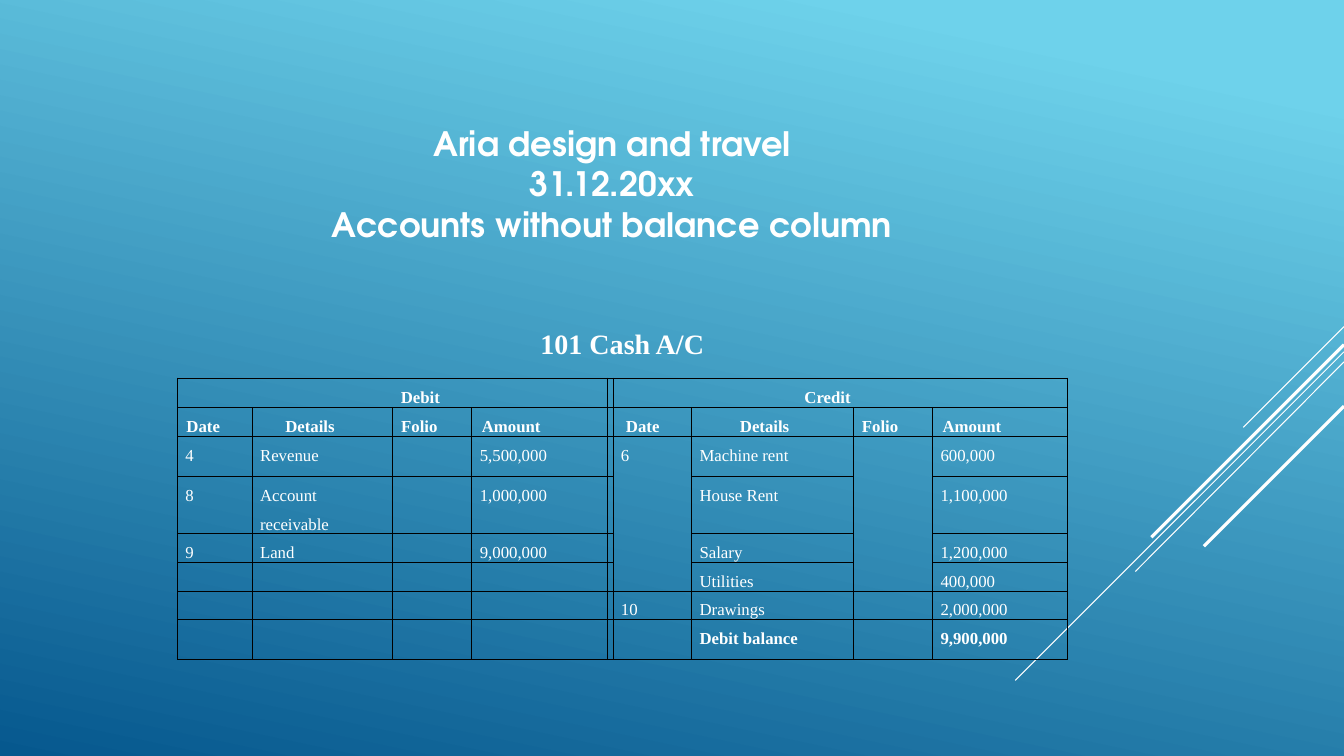
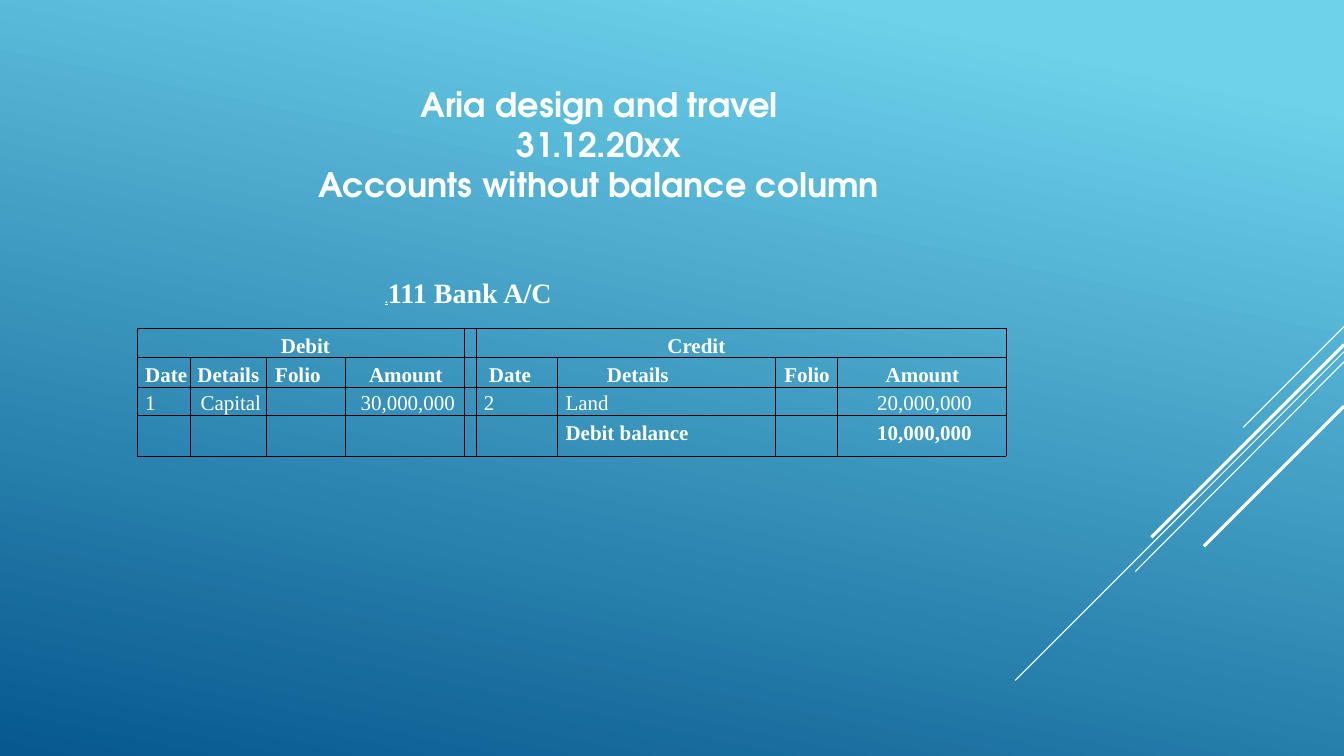
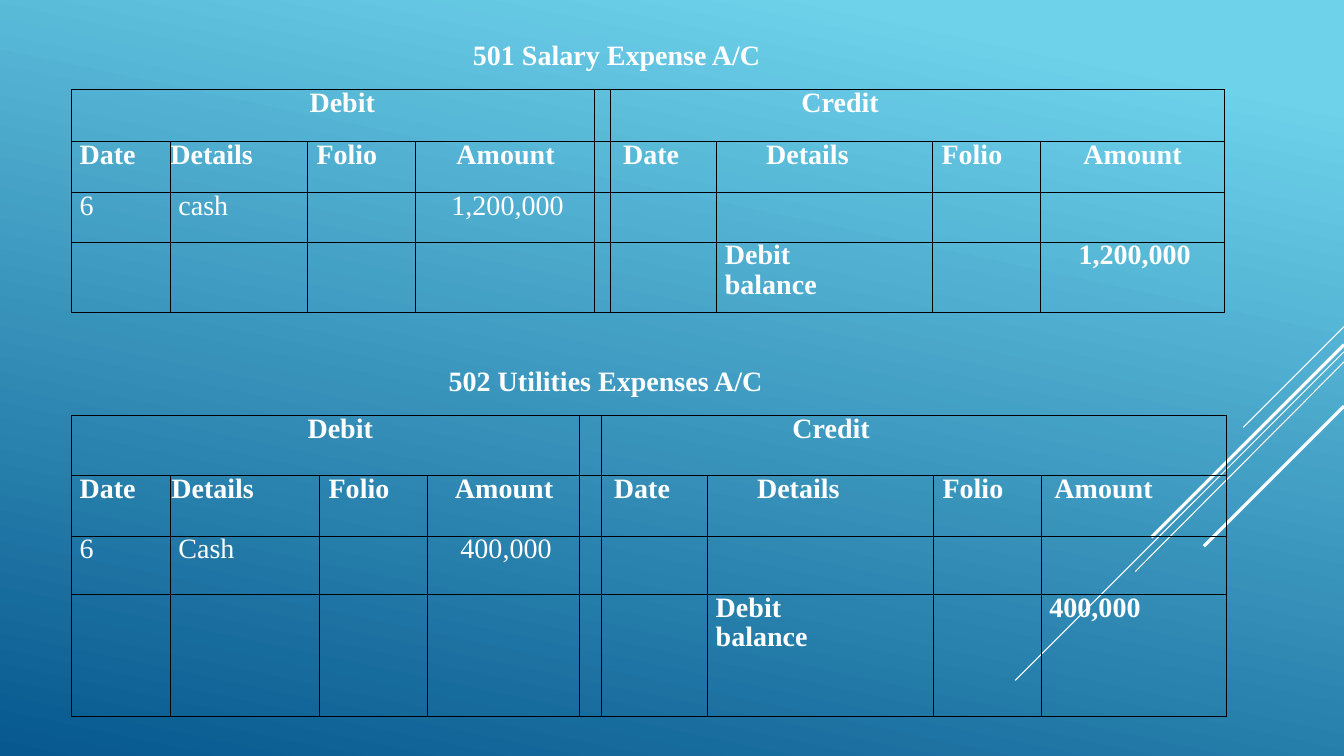
from lxml.etree import SubElement
from pptx import Presentation
from pptx.dml.color import RGBColor
from pptx.enum.shapes import MSO_CONNECTOR
from pptx.enum.text import MSO_ANCHOR, MSO_AUTO_SIZE, PP_ALIGN
from pptx.oxml.ns import qn
from pptx.util import Inches, Pt

SERIF = "Times New Roman"
SANS = "TeX Gyre Adventor"
WHITE = "FFFFFF"
BLACK = "000000"


def colour(code):
    return RGBColor.from_string(code)


def write(paragraph, text, font=SERIF, size=20, bold=True, underline=None,
          align=PP_ALIGN.LEFT, spacing=None):
    run = paragraph.add_run()
    run.text = text
    run.font.name = font
    run.font.size = Pt(size)
    run.font.bold = bold
    run.font.underline = underline
    run.font.color.rgb = colour(WHITE)
    paragraph.alignment = align
    if spacing:
        paragraph.line_spacing = Pt(spacing)


heading_lines = ["Aria design and travel", "31.12.20xx", "Accounts without balance column"]
column_names = ["Date", "Details", "Folio", "Amount", "", "Date", "Details", "Folio", "Amount"]

cash = {
    "caption": "101 Cash A/C", "caption_at": (5.35, 3.23, 2.29), "at": (1.76, 3.75), "size": 12,
    "columns": [0.74, 1.39, 0.79, 1.34, 0.06, 0.78, 1.6, 0.79, 1.34],
    "rows": [0.28, 0.28, 0.4, 0.4, 0.28, 0.28, 0.28, 0.4],
    "debit_indent": 0.56,
    "indents": [0.09, 0.33, 0.09, 0.1, 0, 0.13, 0.48, 0.09, 0.1],
    "centred": [],
    "right_margins": {(3, 1): 0.2},
    "merges": [(2, 5, 5, 5), (2, 7, 5, 7)],
    "entries": [
        {0: "4", 1: "Revenue", 3: "5,500,000", 5: "6", 6: "Machine rent", 8: "600,000"},
        {0: "8", 1: "Account receivable", 3: "1,000,000", 6: "House Rent", 8: "1,100,000"},
        {0: "9", 1: "Land", 3: "9,000,000", 6: "Salary", 8: "1,200,000"},
        {6: "Utilities", 8: "400,000"},
        {5: "10", 6: "Drawings", 8: "2,000,000"},
        {6: "Debit balance", 8: "9,900,000"},
    ],
}
bank = {
    "caption": "111 Bank A/C", "caption_at": (3.81, 2.72, 1.8), "at": (1.36, 3.26), "size": 15,
    "mark": ".",
    "columns": [0.53, 0.75, 0.79, 1.18, 0.11, 0.81, 2.16, 0.62, 1.67],
    "rows": [0.28, 0.28, 0.28, 0.4],
    "debit_indent": 0.09,
    "indents": [0.08, 0, 0.09, 0.01, 0, 0.13, 0.49, 0.09, 0.01],
    "centred": [1, 3, 8],
    "entries": [
        {0: "1", 1: "Capital", 3: "30,000,000", 5: "2", 6: "Land", 8: "20,000,000"},
        {6: "Debit balance", 8: "10,000,000"},
    ],
}
salary = {
    "caption": "501 Salary Expense A/C", "caption_at": (4.68, 0.36, 3.13), "at": (0.71, 0.89),
    "size": 20,
    "columns": [0.98, 1.36, 1.07, 1.78, 0.15, 1.06, 2.14, 1.07, 1.82],
    "rows": [0.51, 0.51, 0.49, 0.7],
    "debit_indent": 0.18,
    "indents": [0.08, 0, 0.09, 0.01, 0, 0.13, 0.49, 0.09, 0.01],
    "centred": [3, 8],
    "right_margins": {(3, 6): 0.7},
    "entries": [
        {0: "6", 1: "cash", 3: "1,200,000"},
        {6: "Debit balance", 8: "1,200,000"},
    ],
}
utilities = {
    "caption": "502 Utilities Expenses A/C", "caption_at": (4.44, 3.6, 3.98), "at": (0.71, 4.12),
    "size": 20,
    "columns": [0.98, 1.48, 1.07, 1.51, 0.21, 1.06, 2.24, 1.07, 1.83],
    "rows": [0.6, 0.6, 0.58, 1.21],
    "debit_indent": 0.29,
    "indents": [0.08, 0.01, 0.09, 0.01, 0, 0.13, 0.49, 0.09, 0.13],
    "centred": [3],
    "right_margins": {(3, 6): 0.8},
    "entries": [
        {0: "6", 1: "Cash", 3: "400,000"},
        {6: "Debit balance", 8: "400,000"},
    ],
}
pages = [((3, 1.17), [cash]), ((2.87, 0.78), [bank]), (None, [salary, utilities])]

deck = Presentation()
deck.slide_width = Inches(13.33)
deck.slide_height = Inches(7.5)
master = deck.slide_master
title_only = deck.slide_layouts[5]

backdrop = master.background.fill
backdrop.gradient()
backdrop.gradient_angle = 258
for stop, (position, code) in zip(backdrop.gradient_stops, [(0.1, "6ED2EB"), (1, "06588E")]):
    stop.position = position
    stop.color.rgb = colour(code)

slides = [deck.slides.add_slide(title_only) for page in pages]

rays = [
    (3.24, 12.33, 4.24, 0.75),
    (3.49, 10.07, 6.75, 0.75),
    (3.59, 11.26, 5.67, 0.75),
    (3.42, 11.42, 5.33, 2.25),
    (4.03, 11.94, 5.42, 2.25),
]
for number, (start_y, end_x, end_y, weight) in enumerate(rays, start=20):
    ray = slides[0].shapes.add_connector(
        MSO_CONNECTOR.STRAIGHT, Inches(13.33), Inches(start_y), Inches(end_x), Inches(end_y))
    ray.line.color.rgb = colour(WHITE)
    ray.line.width = Pt(weight)
    SubElement(ray.element.spPr, qn("a:effectLst"))
    ray.element.nvCxnSpPr.cNvPr.set("id", str(number))
    master.shapes._spTree.append(ray.element)

for slide, (heading_at, ledgers) in zip(slides, pages):
    title = slide.shapes.title
    if heading_at:
        title.left, title.top = map(Inches, heading_at)
        title.width, title.height = Inches(6.14), Inches(1.31)
        heading = title.text_frame
        heading.word_wrap = False
        heading.auto_size = MSO_AUTO_SIZE.NONE
        heading.vertical_anchor = MSO_ANCHOR.TOP
        for number, line in enumerate(heading_lines):
            paragraph = heading.add_paragraph() if number else heading.paragraphs[0]
            write(paragraph, line, font=SANS, size=24, align=PP_ALIGN.CENTER)

    for ledger in ledgers:
        left, top, width = map(Inches, ledger["caption_at"])
        if heading_at is None and ledger is ledgers[0]:
            caption = title
            caption.left, caption.top, caption.width, caption.height = left, top, width, Inches(0.35)
        else:
            caption = slide.shapes.add_textbox(left, top, width, Inches(0.35))
        frame = caption.text_frame
        frame.word_wrap = True
        frame.auto_size = MSO_AUTO_SIZE.NONE
        frame.vertical_anchor = MSO_ANCHOR.TOP
        frame.margin_left = frame.margin_top = Inches(0.01)
        frame.margin_right = frame.margin_bottom = 0
        if "mark" in ledger:
            write(frame.paragraphs[0], ledger["mark"], size=8.2, underline=True)
        write(frame.paragraphs[0], ledger["caption"])

        columns, rows, size = ledger["columns"], ledger["rows"], ledger["size"]
        left, top = map(Inches, ledger["at"])
        account = slide.shapes.add_table(
            len(rows), len(columns), left, top, Inches(sum(columns)), Inches(sum(rows))).table
        account.first_row = account.horz_banding = False
        for column, width in zip(account.columns, columns):
            column.width = Inches(width)
        for row, height in zip(account.rows, rows):
            row.height = Inches(height)

        sides = {0: "Debit", 5: "Credit"}
        lines = [sides, dict(enumerate(column_names))] + ledger["entries"]
        for r, line in enumerate(lines):
            for c in range(len(columns)):
                cell = account.cell(r, c)
                borders = cell._tc.get_or_add_tcPr()
                for edge in ("a:lnL", "a:lnR", "a:lnT", "a:lnB"):
                    border = SubElement(borders, qn(edge), w=str(Pt(0.5)))
                    ink = SubElement(border, qn("a:solidFill"))
                    SubElement(ink, qn("a:srgbClr"), val=str(colour(BLACK)))
                cell.fill.background()

                centred = c in ledger["centred"]
                if r == 0:
                    centred = c == 0
                    indent = ledger["debit_indent"] if centred else 1.9
                elif r == 1:
                    indent = ledger["indents"][c]
                else:
                    indent = 0.05 if centred else 0.08
                text = line.get(c, "")
                cell.margin_left = Inches(indent if text else 0)
                cell.margin_right = Inches(ledger.get("right_margins", {}).get((r, c), 0))
                cell.margin_top = cell.margin_bottom = 0
                paragraph = cell.text_frame.paragraphs[0]
                if text:
                    bold = r < 2 or r == len(lines) - 1
                    write(paragraph, text, size=size, bold=bold,
                          align=PP_ALIGN.CENTER if centred else PP_ALIGN.LEFT,
                          spacing=20.8 if bold else 20.4)
                else:
                    paragraph._p.get_or_add_endParaRPr().set("sz", str(size * 100))

        for r1, c1, r2, c2 in [(0, 0, 0, 3), (0, 5, 0, 8)] + ledger.get("merges", []):
            account.cell(r1, c1).merge(account.cell(r2, c2))

deck.save("out.pptx")
